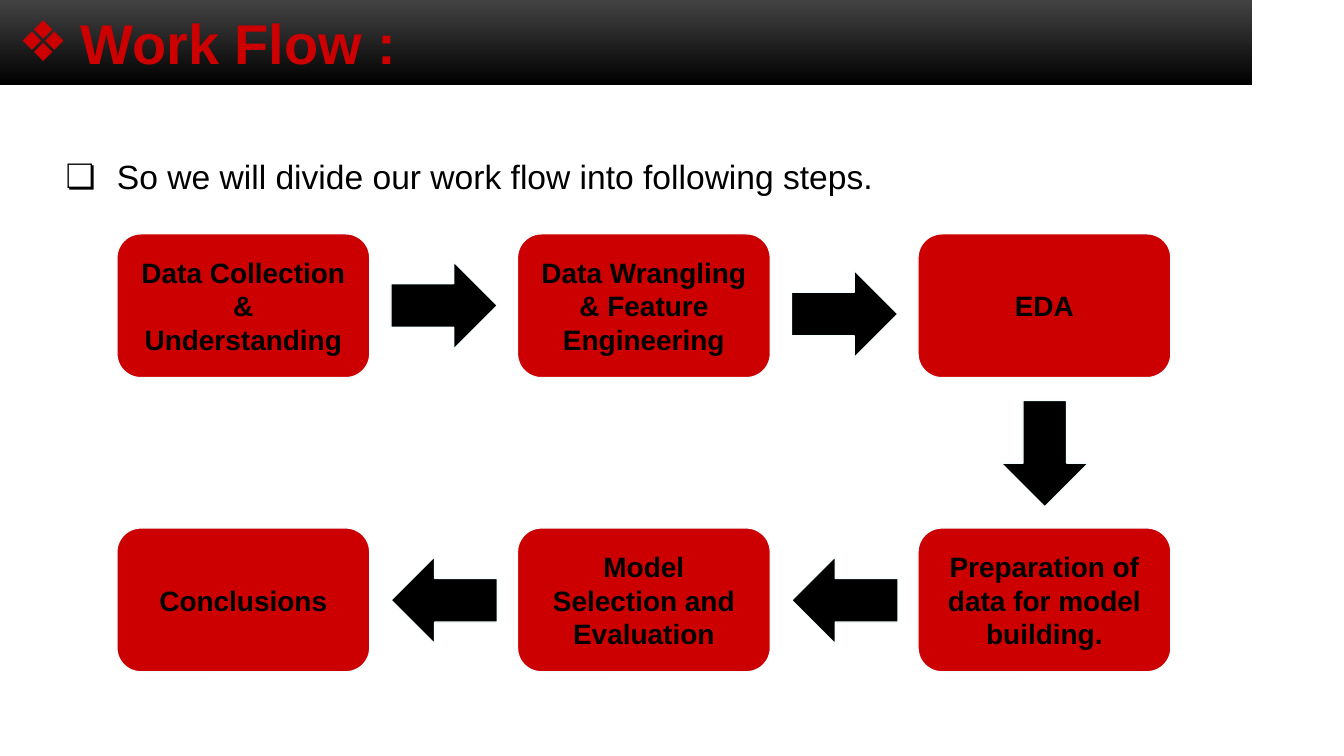
"""Build the work flow slide: six steps joined by block arrows."""
from dataclasses import dataclass

from lxml import etree
from pptx import Presentation
from pptx.dml.color import RGBColor
from pptx.enum import shapes, text
from pptx.oxml import ns
from pptx.util import Cm, Pt


@dataclass(frozen=True)
class Theme:
    font: str = "Arial"
    red: str = "CC0000"
    black: str = "000000"
    edge: str = "F5FDFF"
    fade: tuple = ("424242", "010101")
    head: int = 30
    body: int = 18
    step: int = 15


class Deck:
    def __init__(self, prs, theme):
        self.theme = theme
        self.slide = prs.slides.add_slide(prs.slide_layouts[1])

    def place(self, item, left, top, width, height):
        item.left, item.top = Cm(left), Cm(top)
        item.width, item.height = Cm(width), Cm(height)

    def bullet(self, para, char, color, left, hang):
        props = para._p.get_or_add_pPr()
        props.set("marL", str(Cm(left)))
        props.set("indent", str(-Cm(hang)))
        tint = etree.SubElement(props, ns.qn("a:buClr"))
        etree.SubElement(tint, ns.qn("a:srgbClr"), val=color)
        etree.SubElement(props, ns.qn("a:buFont"), typeface=self.theme.font)
        etree.SubElement(props, ns.qn("a:buChar"), char=char)

    def label(self, item, words, size, color, bold, align, anchor, mark=None):
        frame = item.text_frame
        frame.text = words
        frame.word_wrap = True
        frame.auto_size = text.MSO_AUTO_SIZE.NONE
        frame.vertical_anchor = anchor
        frame.margin_left = frame.margin_right = Cm(0.25)
        frame.margin_top = frame.margin_bottom = Cm(0.25)
        para = frame.paragraphs[0]
        para.alignment = align
        para.space_before = Pt(0)
        if mark:
            self.bullet(para, *mark)
        font = para.font
        font.name, font.size, font.bold = self.theme.font, Pt(size), bold
        font.color.rgb = RGBColor.from_string(color)
        return para

    def title(self, words):
        look, item = self.theme, self.slide.shapes.title
        self.place(item, 0, 0, 23.67, 1.6)
        item.fill.gradient()
        item.fill.gradient_angle = 270
        for stop, color in zip(item.fill.gradient_stops, look.fade):
            stop.color.rgb = RGBColor.from_string(color)
        self.label(item, words, look.head, look.red, True, text.PP_ALIGN.LEFT,
                   text.MSO_ANCHOR.MIDDLE, ("❖", look.red, 1.27, 1.17))

    def body(self, words):
        look, item = self.theme, self.slide.placeholders[1]
        self.place(item, 0.69, 2.59, 23.67, 9.12)
        para = self.label(item, words, look.body, look.black, False, text.PP_ALIGN.LEFT,
                          text.MSO_ANCHOR.TOP, ("❏", look.black, 1.27, 0.97))
        para.line_spacing = 1.15

    def block(self, kind, left, top, width, height, color):
        item = self.slide.shapes.add_shape(kind, Cm(left), Cm(top), Cm(width), Cm(height))
        item.shadow.inherit = False
        item.fill.solid()
        item.fill.fore_color.rgb = RGBColor.from_string(color)
        item.line.color.rgb = RGBColor.from_string(self.theme.edge)
        item.line.width = Pt(0.75)
        return item

    def step(self, words, left, top):
        look = self.theme
        item = self.block(shapes.MSO_SHAPE.ROUNDED_RECTANGLE, left, top, 4.78, 2.72, look.red)
        self.label(item, words, look.step, look.black, True,
                   text.PP_ALIGN.CENTER, text.MSO_ANCHOR.MIDDLE)

    def arrow(self, left, top, turn):
        item = self.block(shapes.MSO_SHAPE.RIGHT_ARROW, left, top, 2.01, 1.65, self.theme.black)
        item.rotation = turn


def main():
    prs = Presentation()
    prs.slide_width, prs.slide_height = Cm(25.4), Cm(14.29)
    deck = Deck(prs, Theme())
    deck.title("Work Flow :")
    deck.body("So we will divide our work flow into following steps.")

    pitch = 7.57
    rows = (
        (4.42, ("Data Collection & Understanding", "Data Wrangling & Feature Engineering", "EDA")),
        (9.98, ("Conclusions", "Model Selection and Evaluation",
                "Preparation of data for model building.")),
    )
    for top, names in rows:
        for col, name in enumerate(names):
            deck.step(name, 2.21 + col * pitch, top)

    for turn, tops in ((0, (4.95, 5.11)), (180, (10.52, 10.52))):
        for col, top in enumerate(tops):
            deck.arrow(7.39 + col * pitch, top, turn)
    deck.arrow(18.74, 7.75, 90)
    prs.save("out.pptx")


if __name__ == "__main__":
    main()
